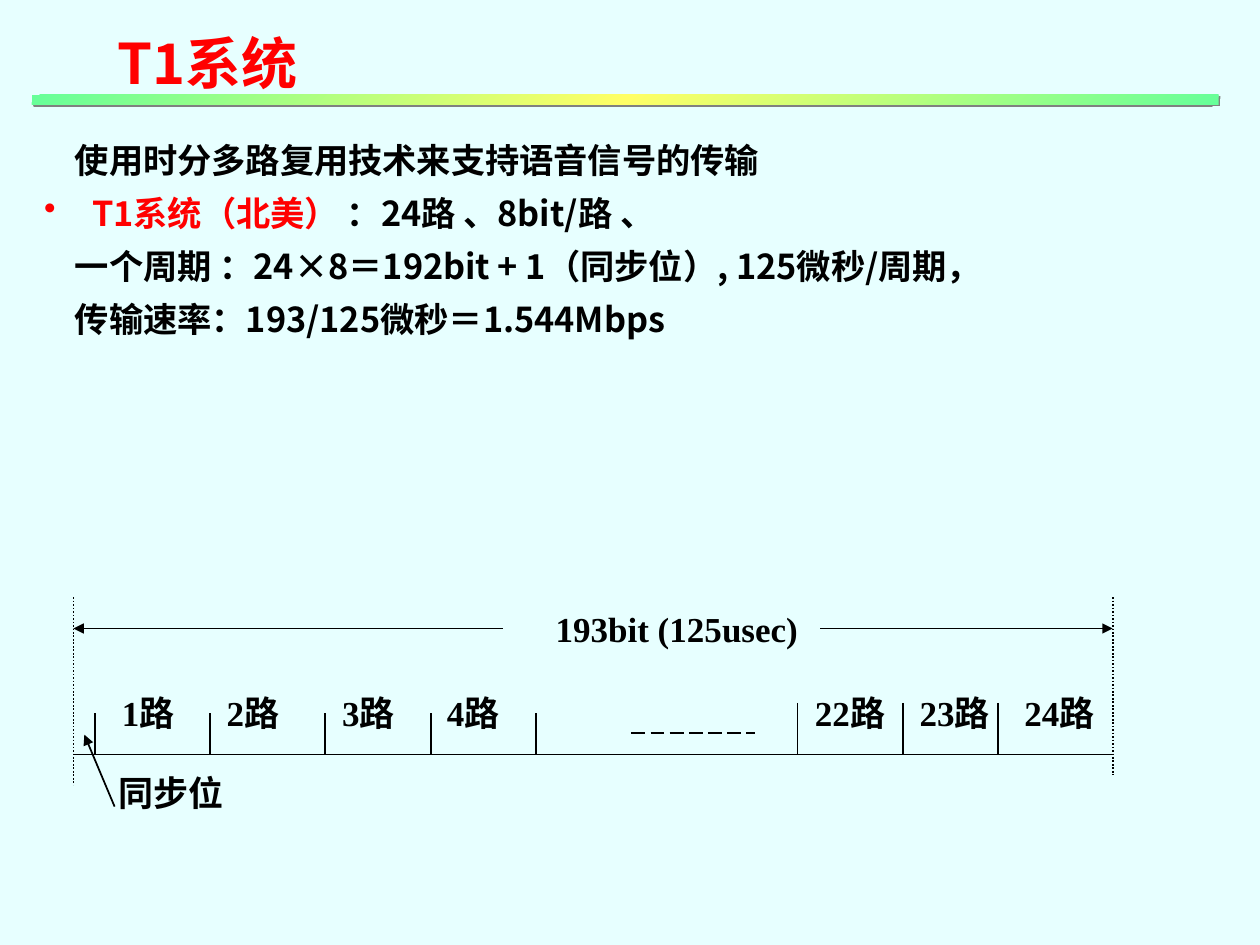
"""Build a slide on the T1 system with its frame timing chart."""
from copy import deepcopy
from dataclasses import dataclass

from lxml.etree import SubElement
from pptx import Presentation
from pptx.dml.color import RGBColor
from pptx.enum.dml import MSO_LINE
from pptx.enum.shapes import MSO_CONNECTOR, MSO_SHAPE
from pptx.enum.text import MSO_ANCHOR
from pptx.oxml.ns import qn
from pptx.util import Cm, Pt


@dataclass(frozen=True)
class Theme:
    back: str = "E7FFFF"
    ink: str = "000000"
    key: str = "FF0000"
    edge: str = "66FF99"
    mid: str = "FFFF66"
    shade: str = "808080"
    sans: str = "Noto Sans CJK SC"
    serif: str = "Times New Roman"
    title: float = 32
    body: float = 19.6
    label: float = 20
    lead: float = 23.3
    gap: float = 7


THEME = Theme()
LEFT, RIGHT = 1.48, 22.43
BASE, SPAN = 15.21, 12.67
ROWS = [
    [("使用时分多路复用技术来支持语音信号的传输", THEME.ink)],
    [("T1系统（北美） ", THEME.key), ("：24路 、8bit/路 、", THEME.ink)],
    [("一个周期 ：24×8＝192bit + 1（同步位）, 125微秒/周期，", THEME.ink)],
    [("传输速率：193/125微秒＝1.544Mbps", THEME.ink)],
]
SLOTS = [("1路", 2.21), ("2路", 4.32), ("3路", 6.65), ("4路", 8.76),
         ("22路", 16.18), ("23路", 18.29), ("24路", 20.4)]
TICKS = [(14.38, (1.91, 4.24, 6.55, 8.69, 10.8)),
         (14.17, (16.08, 18.21, 20.12))]


def style(run, size, face, color):
    run.font.size = Pt(size)
    run.font.bold = True
    run.font.name = face
    run.font.color.rgb = RGBColor.from_string(color)
    SubElement(run.font._element, qn("a:ea"), typeface=THEME.sans)


def add_text(slide, text, x, y, wide, high=1.09, size=THEME.label,
             face=THEME.serif, color=THEME.ink):
    box = slide.shapes.add_textbox(Cm(x), Cm(y), Cm(wide), Cm(high))
    frame = box.text_frame
    frame.word_wrap = True
    frame.vertical_anchor = MSO_ANCHOR.MIDDLE
    frame.text = text
    style(frame.paragraphs[0].runs[0], size, face, color)


def add_line(slide, x1, y1, x2, y2, dash=None, arrow=False):
    line = slide.shapes.add_connector(
        MSO_CONNECTOR.STRAIGHT, Cm(x1), Cm(y1), Cm(x2), Cm(y2))
    line.line.width = Pt(1)
    line.line.color.rgb = RGBColor.from_string(THEME.ink)
    if dash:
        line.line.dash_style = dash
    if arrow:
        SubElement(line.line._get_or_add_ln(), qn("a:tailEnd"), type="triangle")
    SubElement(line._element.spPr, qn("a:effectLst"))


def add_bar(slide):
    bar = slide.shapes.add_shape(
        MSO_SHAPE.RECTANGLE, Cm(0.64), Cm(1.91), Cm(23.93), Cm(0.2))
    bar.line.fill.background()
    bar.fill.gradient()
    bar.fill.gradient_angle = 315
    props = bar._element.spPr
    first = props.find(".//" + qn("a:gs"))
    first.addnext(deepcopy(first))
    hues = (THEME.edge, THEME.mid, THEME.edge)
    for stop, hue, place in zip(bar.fill.gradient_stops, hues, (0, 0.5, 1)):
        stop.color.rgb = RGBColor.from_string(hue)
        stop.position = place
    bar.shadow.inherit = False
    shade = SubElement(props.find(qn("a:effectLst")), qn("a:outerShdw"),
                       dist=str(Pt(1.4)), dir="2700000", algn="ctr")
    SubElement(shade, qn("a:srgbClr"), val=THEME.shade)


def add_body(slide):
    box = slide.shapes.add_textbox(Cm(0.64), Cm(2.69), Cm(23.5), Cm(4.24))
    frame = box.text_frame
    frame.word_wrap = True
    for i, row in enumerate(ROWS):
        para = frame.add_paragraph() if i else frame.paragraphs[0]
        para.line_spacing = Pt(THEME.lead)
        para.space_before = Pt(THEME.gap if i else 0)
        props = para._p.get_or_add_pPr()
        if len(row) > 1:
            props.set("marL", str(Cm(0.97)))
            props.set("indent", str(Cm(-0.97)))
            tint = SubElement(props, qn("a:buClr"))
            SubElement(tint, qn("a:srgbClr"), val=THEME.key)
            SubElement(props, qn("a:buChar"), char="•")
        else:
            props.set("marL", str(Cm(0.62)))
            props.set("indent", "0")
        for text, color in row:
            run = para.add_run()
            run.text = text
            style(run, THEME.body, THEME.sans, color)


def add_frame(slide):
    add_line(slide, LEFT, BASE, RIGHT, BASE)
    for x, end in ((LEFT, 15.82), (RIGHT, 15.62)):
        add_line(slide, x, 12.04, x, end, MSO_LINE.ROUND_DOT)
    for top, marks in TICKS:
        for x in marks:
            add_line(slide, x, top, x, BASE)
    add_line(slide, 12.73, 14.78, 15.21, 14.78, MSO_LINE.LONG_DASH)
    for text, x in SLOTS:
        add_text(slide, text, x, 13.82, 1.9 if len(text) == 2 else 2.3)
    add_line(slide, 2.31, 16.26, 1.7, 14.81, arrow=True)
    add_text(slide, "同步位", 2.13, 15.44, 2.8)
    add_line(slide, 10.13, SPAN, LEFT, SPAN, arrow=True)
    add_line(slide, 16.54, SPAN, RIGHT, SPAN, arrow=True)
    add_text(slide, "193bit (125usec)", 10.95, 12.12, 5.8)


def main():
    deck = Presentation()
    deck.slide_width, deck.slide_height = Cm(25.4), Cm(19.05)
    slide = deck.slides.add_slide(deck.slide_layouts[6])
    slide.background.fill.solid()
    slide.background.fill.fore_color.rgb = RGBColor.from_string(THEME.back)
    add_body(slide)
    add_frame(slide)
    add_bar(slide)
    add_text(slide, "T1系统", 2.11, 0.43, 14.96, 1.63,
             THEME.title, THEME.sans, THEME.key)
    deck.save("out.pptx")


if __name__ == "__main__":
    main()
